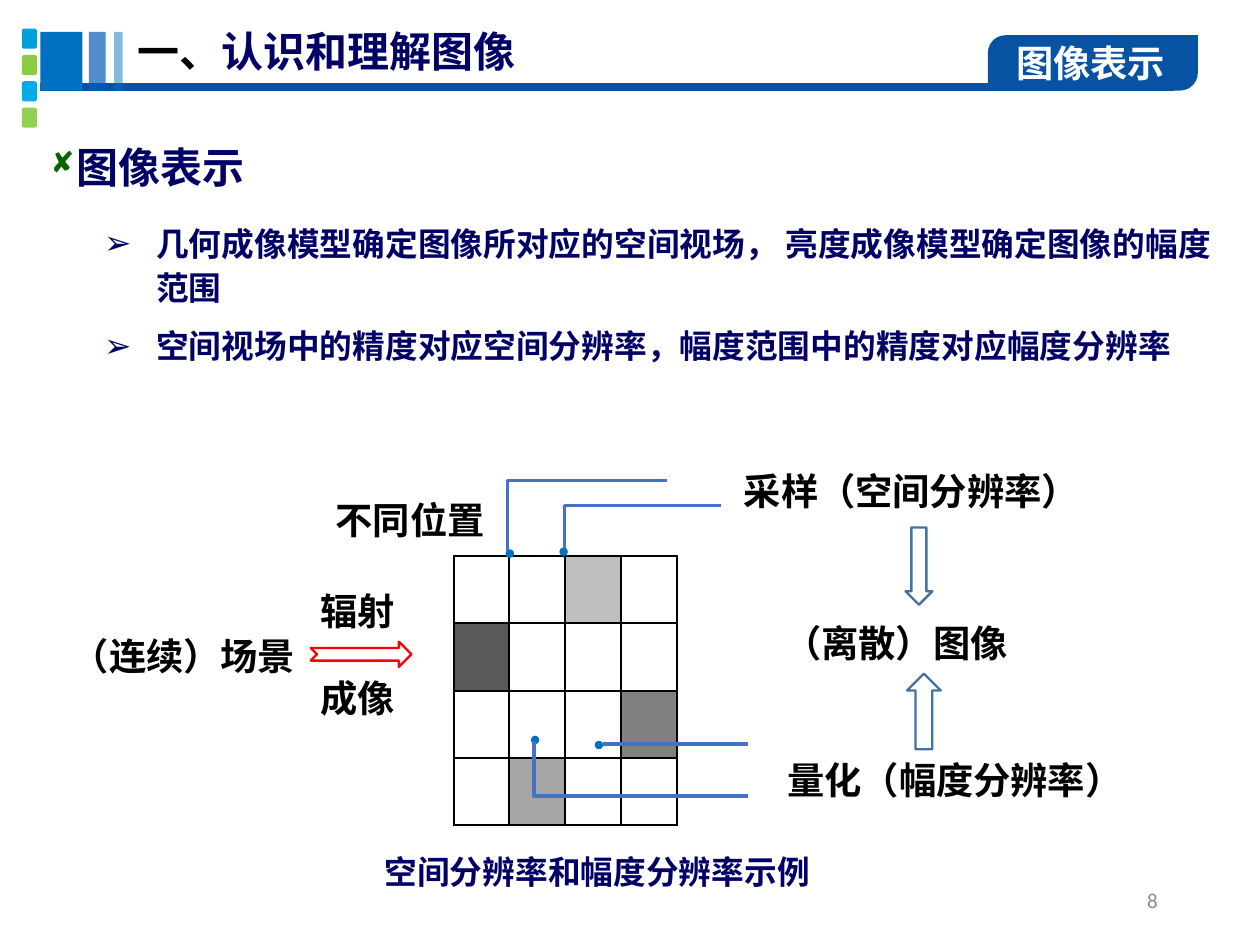
from lxml import etree
from pptx import Presentation
from pptx.dml.color import RGBColor
from pptx.enum.shapes import MSO_CONNECTOR as CONNECTOR, MSO_SHAPE as SHAPE
from pptx.enum.text import MSO_ANCHOR as ANCHOR, MSO_AUTO_SIZE as AUTO_SIZE, PP_ALIGN as ALIGN
from pptx.oxml.ns import qn
from pptx.util import Inches, Pt

CJK = "Noto Sans CJK SC"
NAVY, BLUE, BAND, WIRE = "000066", "0070C0", "0852A4", "4472C4"


def color(hex_text):
    return RGBColor.from_string(hex_text)


def child(parent, tag, **attributes):
    return etree.SubElement(parent, qn(tag), {k: str(v) for k, v in attributes.items()})


def format_run(run, size, hex_text, latin=CJK, bold=True):
    font = run.font
    font.size, font.bold, font.name = Pt(size), bold, latin
    font.color.rgb = color(hex_text)
    child(run._r.get_or_add_rPr(), "a:ea", typeface=CJK)


def place(shape, left, top, width, height):
    shape.left, shape.top = Inches(left), Inches(top)
    shape.width, shape.height = Inches(width), Inches(height)


def set_frame(text_frame, wrap=True, grow=True, anchor=ANCHOR.TOP):
    text_frame.word_wrap = wrap
    text_frame.auto_size = AUTO_SIZE.SHAPE_TO_FIT_TEXT if grow else AUTO_SIZE.NONE
    text_frame.vertical_anchor = anchor


def add_bullet(paragraph, character, margin, indent, hex_text=None, percent=100, typeface=None):
    properties = paragraph._p.get_or_add_pPr()
    properties.set("marL", str(Inches(margin)))
    properties.set("indent", str(Inches(indent)))
    if hex_text:
        child(child(properties, "a:buClr"), "a:srgbClr", val=hex_text)
    child(properties, "a:buSzPct", val=percent * 1000)
    if typeface:
        child(properties, "a:buFont", typeface=typeface)
    child(properties, "a:buChar", char=character)


def add_label(slide, text, box, size=16, hex_text="000000", latin="Calibri",
              bold=True, wrap=True):
    shape = slide.shapes.add_textbox(*map(Inches, box))
    set_frame(shape.text_frame, wrap)
    shape.text_frame.text = text
    format_run(shape.text_frame.paragraphs[0].runs[0], size, hex_text, latin, bold)
    return shape


def add_shape(slide, kind, box, fill=None, line=None, alpha=None):
    shape = slide.shapes.add_shape(kind, *map(Inches, box))
    shape.shadow.inherit = False
    if fill:
        shape.fill.solid()
        shape.fill.fore_color.rgb = color(fill)
    else:
        shape.fill.background()
    if alpha:
        child(next(shape._element.spPr.iter(qn("a:srgbClr"))), "a:alpha", val=alpha * 1000)
    if line:
        shape.line.color.rgb = color(line)
        shape.line.width = Pt(1)
    else:
        shape.line.fill.background()
    return shape


def add_line(slide, start, end, hex_text, width):
    line = slide.shapes.add_connector(CONNECTOR.STRAIGHT, *map(Inches, start + end))
    line.line.color.rgb = color(hex_text)
    line.line.width = Pt(width)
    child(line._element.spPr, "a:effectLst")


def add_elbow(slide, start, end):
    """Draw a wire that goes vertically from start, then across to end."""
    builder = slide.shapes.build_freeform(Inches(start[0]), Inches(start[1]))
    corners = [(start[0], end[1]), end]
    builder.add_line_segments([(Inches(x), Inches(y)) for x, y in corners], close=False)
    shape = builder.convert_to_shape()
    shape.shadow.inherit = False
    shape.fill.background()
    shape.line.color.rgb = color(WIRE)
    shape.line.width = Pt(1.5)


def add_pixel_grid(slide, box, count, shades):
    frame = slide.shapes.add_table(count, count, *map(Inches, box))
    table = frame.table
    table.first_row = table.horz_banding = False
    for row in range(count):
        for column in range(count):
            cell = table.cell(row, column)
            properties = cell._tc.get_or_add_tcPr()
            for side in ("a:lnL", "a:lnR", "a:lnT", "a:lnB"):
                border = child(properties, side, w=Pt(1))
                child(child(border, "a:solidFill"), "a:srgbClr", val="000000")
            if (row, column) in shades:
                cell.fill.solid()
                cell.fill.fore_color.rgb = color(shades[row, column])
            else:
                cell.fill.background()


def add_header(slide):
    # Side tabs, title band and accent bars
    for index, fill in enumerate(("00A1DA", "89CC40", "00ADEA", "92D050")):
        add_shape(slide, SHAPE.ROUNDED_RECTANGLE, (0.13, 0.17 + 0.47 * index / 3, 0.09, 0.12), fill)
    tab = add_shape(slide, SHAPE.ROUND_2_DIAG_RECTANGLE, (5.88, 0.21, 1.25, 0.33), BAND)
    tab.adjustments[0], tab.adjustments[1] = 0.32, 0
    add_line(slide, (0.24, 0.52), (6.99, 0.52), BAND, 3.5)
    for left, width, fill, alpha in ((0.24, 0.25, BLUE, None), (0.53, 0.1, "065CBA", 70),
                                     (0.68, 0.05, BLUE, 48)):
        add_shape(slide, SHAPE.RECTANGLE, (left, 0.19, width, 0.35), fill, alpha=alpha)
    add_label(slide, "图像表示", (5.95, 0.19, 1.1, 0.37), 16, "FFFFFF", CJK, wrap=False)


def fill_placeholders(slide):
    # Title in two colours
    title = slide.shapes.title
    place(title, 0.71, 0.1, 2.47, 0.4)
    set_frame(title.text_frame, wrap=False)
    paragraph = title.text_frame.paragraphs[0]
    paragraph.alignment = ALIGN.CENTER
    for text, hex_text in (("一、", "000000"), ("认识和理解图像", NAVY)):
        run = paragraph.add_run()
        run.text = text
        format_run(run, 18, hex_text)

    # Bulleted list
    body = slide.placeholders[1]
    place(body, 0.52, 1.25, 6.89, 0.98)
    set_frame(body.text_frame)
    body.text_frame.text = ("几何成像模型确定图像所对应的空间视场， 亮度成像模型确定图像的幅度范围\n"
                            "空间视场中的精度对应空间分辨率，幅度范围中的精度对应幅度分辨率")
    for paragraph, space in zip(body.text_frame.paragraphs, (0, 6)):
        add_bullet(paragraph, "➢", 0.31, -0.31)
        paragraph.line_spacing, paragraph.space_before = 1.13, Pt(space)
        format_run(paragraph.runs[0], 14, NAVY)


def add_section_heading(slide):
    heading = add_label(slide, "图像表示", (0.3, 0.62, 1.38, 0.53), 18, NAVY, CJK)
    frame = heading.text_frame
    frame.margin_left = frame.margin_right = frame.margin_bottom = 0
    frame.margin_top = Inches(0.22)
    add_bullet(frame.paragraphs[0], "◻", 0.01, -0.38, "006600", 90, "Wingdings")


def add_diagram(slide):
    # Labels
    for text, left, top, width in (
            ("辐射", 1.81, 3.45, 0.75), ("成像", 1.81, 3.97, 0.75),
            ("（连续）场景", 0.33, 3.72, 1.6), ("不同位置", 1.9, 2.91, 1.15),
            ("采样（空间分辨率）", 4.33, 2.74, 2.26), ("（离散）图像", 4.57, 3.64, 2.26),
            ("量化（幅度分辨率）", 4.59, 4.46, 2.26)):
        add_label(slide, text, (left, top, width, 0.37))
    add_label(slide, "空间分辨率和幅度分辨率示例", (2.19, 5.02, 2.75, 0.34), 14, NAVY, CJK, wrap=False)

    # Pixel grid
    add_pixel_grid(slide, (2.7, 3.31, 1.33, 1.6), 4, {
        (0, 2): "BFBFBF", (1, 0): "595959", (2, 3): "808080", (3, 1): "A6A6A6"})

    # Block arrows
    add_shape(slide, SHAPE.NOTCHED_RIGHT_ARROW, (1.85, 3.82, 0.6, 0.15), line="FF0000")
    down = add_shape(slide, SHAPE.DOWN_ARROW, (5.39, 3.14, 0.16, 0.46), line="43739E")
    down.adjustments[0] = 0.56
    add_shape(slide, SHAPE.UP_ARROW, (5.4, 4.01, 0.2, 0.45), line="43739E")

    # Marked points and their wires
    for left, top in ((3.16, 4.38), (3.54, 4.41), (3.01, 3.27), (3.33, 3.26)):
        add_shape(slide, SHAPE.OVAL, (left, top, 0.05, 0.05), BLUE)
    for start, end in (((3.36, 3.26), (4.29, 3.01)), ((3.02, 3.28), (3.97, 2.86)),
                       ((3.18, 4.41), (4.45, 4.74))):
        add_elbow(slide, start, end)
    add_line(slide, (3.59, 4.43), (4.45, 4.43), WIRE, 1.5)


def add_page_number(slide):
    number = add_label(slide, "8", (5.3, 5.21, 1.69, 0.3), 9, "8C8C8C", bold=False)
    set_frame(number.text_frame, grow=False, anchor=ANCHOR.MIDDLE)
    number.text_frame.paragraphs[0].alignment = ALIGN.RIGHT


def main():
    presentation = Presentation()
    # 4:3 page
    presentation.slide_width, presentation.slide_height = Inches(7.5), Inches(7.5 * 3 / 4)
    slide = presentation.slides.add_slide(presentation.slide_layouts[1])
    add_header(slide)
    fill_placeholders(slide)
    add_section_heading(slide)
    add_diagram(slide)
    add_page_number(slide)
    presentation.save("out.pptx")


if __name__ == "__main__":
    main()
